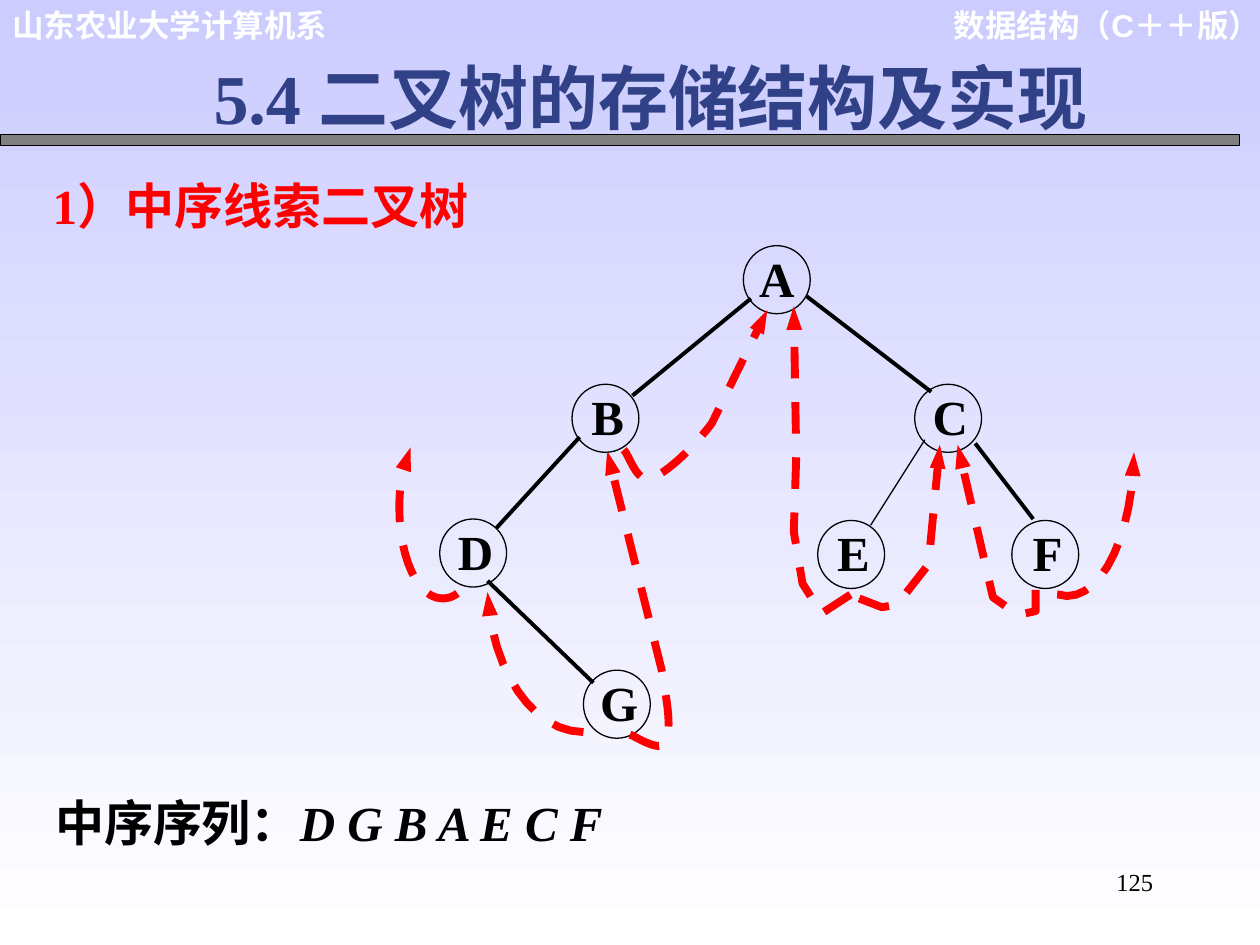
from dataclasses import dataclass

from lxml.etree import SubElement
from pptx import Presentation
from pptx.dml.color import RGBColor as RGB
from pptx.enum.dml import MSO_LINE as DASH
from pptx.enum.shapes import MSO_CONNECTOR as CONNECTOR, MSO_SHAPE as SHAPE
from pptx.enum.text import MSO_ANCHOR as ANCHOR, MSO_AUTO_SIZE as AUTO_SIZE, PP_ALIGN as ALIGN
from pptx.oxml.ns import qn
from pptx.util import Pt


@dataclass(frozen=True)
class Theme:
    sky: RGB = RGB(0xCC, 0xCC, 0xFF)
    white: RGB = RGB(0xFF, 0xFF, 0xFF)
    black: RGB = RGB(0, 0, 0)
    gray: RGB = RGB(0x80, 0x80, 0x80)
    red: RGB = RGB(0xFF, 0, 0)
    navy: RGB = RGB(0x31, 0x41, 0x87)
    serif: str = "Times New Roman"
    sans: str = "Arial"
    title_size: int = 40
    body_size: int = 28
    header_size: int = 18
    number_size: int = 14
    thin: float = 0.75
    edge: float = 2.25
    thread: float = 4.5


theme = Theme()


def write(shape, text, size, color, font=theme.serif, bold=True, align=ALIGN.LEFT):
    """Fill the first paragraph of a shape with uniformly styled text."""
    shape.text_frame.text = text
    paragraph = shape.text_frame.paragraphs[0]
    paragraph.alignment = align
    paragraph.font.name = font
    paragraph.font.size = Pt(size)
    paragraph.font.bold = bold
    paragraph.font.color.rgb = color
    return paragraph


def flatten(start, steps, pieces=12):
    """Turn line steps (x, y) and cubic steps (six numbers) into points."""
    points = [start]
    for step in steps:
        if len(step) == 2:
            points.append(step)
            continue
        controls = [points[-1], step[:2], step[2:4], step[4:]]
        for piece in range(1, pieces + 1):
            t = piece / pieces
            weights = ((1 - t) ** 3, 3 * t * (1 - t) ** 2, 3 * t * t * (1 - t), t ** 3)
            points.append(tuple(
                sum(weight * control[axis] for weight, control in zip(weights, controls))
                for axis in (0, 1)))
    return [(Pt(x), Pt(y)) for x, y in points]


presentation = Presentation()
presentation.slide_width, presentation.slide_height = Pt(720), Pt(540)
slide = presentation.slides.add_slide(presentation.slide_layouts[5])
shapes = slide.shapes

background = slide.background.fill
background.gradient()
background.gradient_angle = 270
for stop, color in zip(background.gradient_stops, (theme.sky, theme.white)):
    stop.color.rgb = color

# Title and rule
title = shapes.title
title.left, title.top, title.width, title.height = Pt(114.8), Pt(27.4), Pt(555.1), Pt(55.4)
write(title, "5.4 二叉树的存储结构及实现", theme.title_size, theme.navy, align=ALIGN.JUSTIFY)
title.text_frame.vertical_anchor = ANCHOR.TOP
title.text_frame.auto_size = AUTO_SIZE.NONE

rule = shapes.add_shape(SHAPE.RECTANGLE, 0, Pt(77), Pt(708.2), Pt(6.2))
rule.shadow.inherit = False
rule.fill.solid()
rule.fill.fore_color.rgb = theme.gray
rule.line.color.rgb = theme.black
rule.line.width = Pt(theme.thin)

# Headers, section heading, sequence and page number
header = (theme.header_size, theme.white, theme.sans, True)
body = (theme.body_size, theme.red, theme.serif, True)
sequence = (theme.body_size, theme.black, theme.serif, True)
number = (theme.number_size, theme.black, theme.serif, False)
for text, (left, top, width, height), right_margin, style, align in (
    ("数据结构（C＋＋版）", (532.1, 0, 187.9, 50.4), 0, header, ALIGN.RIGHT),
    ("山东农业大学计算机系", (0, 0, 195.1, 28.8), 7.2, header, ALIGN.LEFT),
    ("1）中序线索二叉树", (23, 96.5, 318.2, 41), 7.2, body, ALIGN.LEFT),
    ("中序序列：", (24.5, 449.3, 336.2, 41), 7.2, sequence, ALIGN.LEFT),
    ("125", (516.2, 491.8, 149.8, 36), 7.2, number, ALIGN.RIGHT),
):
    box = shapes.add_textbox(Pt(left), Pt(top), Pt(width), Pt(height))
    box.text_frame.word_wrap = True
    box.text_frame.margin_right = Pt(right_margin)
    paragraph = write(box, text, *style, align)
    if style is sequence:
        run = paragraph.add_run()
        run.text = "D G B A E C F"
        run.font.italic = True

# Tree nodes
nodes = {
    "A": (424.8, 140.4), "B": (326.9, 219.6), "C": (522.7, 219.6), "D": (251.3, 296.6),
    "E": (467.3, 297.4), "F": (578.2, 297.4), "G": (333.4, 383),
}
for label, (left, top) in nodes.items():
    node = shapes.add_shape(SHAPE.OVAL, Pt(left), Pt(top), Pt(38.2), Pt(38.9))
    node.shadow.inherit = False
    node.fill.background()
    node.line.color.rgb = theme.black
    node.line.width = Pt(theme.thin)
    frame = node.text_frame
    frame.margin_right = frame.margin_top = 0
    frame.margin_left = Pt(0 if label == "A" else 2.6)
    frame.margin_bottom = Pt(2.4)
    frame.vertical_anchor = ANCHOR.MIDDLE
    frame.word_wrap = False
    write(node, label, theme.body_size, theme.black, align=ALIGN.CENTER)

# Tree edges
edges = {
    "AB": (429.1, 170.6, 361.4, 226.1),
    "BD": (331.2, 249.8, 283.7, 301.7),
    "DG": (278.6, 331.9, 339.1, 390.2),
    "AC": (460.8, 169.2, 532.1, 223.9),
    "CE": (528.5, 251.3, 497.5, 300.2),
    "CF": (557.3, 253.4, 590.4, 296.6),
}
for name, ends in edges.items():
    edge = shapes.add_connector(CONNECTOR.STRAIGHT, *map(Pt, ends))
    edge.line.color.rgb = theme.black
    edge.line.width = Pt(theme.thin if name == "CE" else theme.edge)
    SubElement(edge._element.spPr, qn("a:effectLst"))

# Threads to inorder predecessors and successors: start point, then steps
threads = {
    "G to B": [(360, 419.8), (362.9, 420.5, 377.3, 430.6, 380.2, 424.1),
               (383, 416.2, 383, 410.4, 378, 382.3), (347, 257.8)],
    "G to D": [(333.4, 418.3), (304.6, 418.3, 280.8, 383, 278.6, 338.4)],
    "E to A": [(486, 339.8), (469.4, 350.6), (458.6, 333.4), (453.6, 303.8),
               (455, 260.6), (453.6, 175)],
    "D to none": [(261.4, 339.1), (258.5, 341.3, 255.6, 342, 252.7, 342),
                  (239, 342, 228.2, 319, 228.2, 290.2),
                  (228.2, 277.2, 230.4, 265, 234.7, 255.6)],
    "F to none": [(604.1, 339.8), (606.2, 339.8, 608.4, 340.6, 609.8, 340.6),
                  (630.7, 340.6, 647.3, 304.6, 648, 258.5)],
    "B to A": [(356.4, 257), (359.3, 259.2, 363.6, 275.8, 371.5, 273.6),
               (380.2, 270.7, 394.6, 257.8, 406.8, 241.9), (438.5, 177.1)],
    "E to C": [(491, 342), (504, 347), (512.6, 345.6), (530.6, 322.6), (537.1, 254.2)],
    "F to C": [(591.8, 337), (591.8, 349.2), (581.8, 351.4), (567.4, 341.3), (547.2, 254.2)],
}
for start, *steps in threads.values():
    points = flatten(start, steps)
    builder = shapes.build_freeform(*points[0])
    builder.add_line_segments(points[1:], close=False)
    thread = builder.convert_to_shape()
    thread.shadow.inherit = False
    thread.fill.background()
    thread.line.color.rgb = theme.red
    thread.line.width = Pt(theme.thread)
    thread.line.dash_style = DASH.DASH
    SubElement(thread._element.spPr.find(qn("a:ln")), qn("a:tailEnd"),
               type="triangle", w="sm", len="med")

presentation.save("out.pptx")
